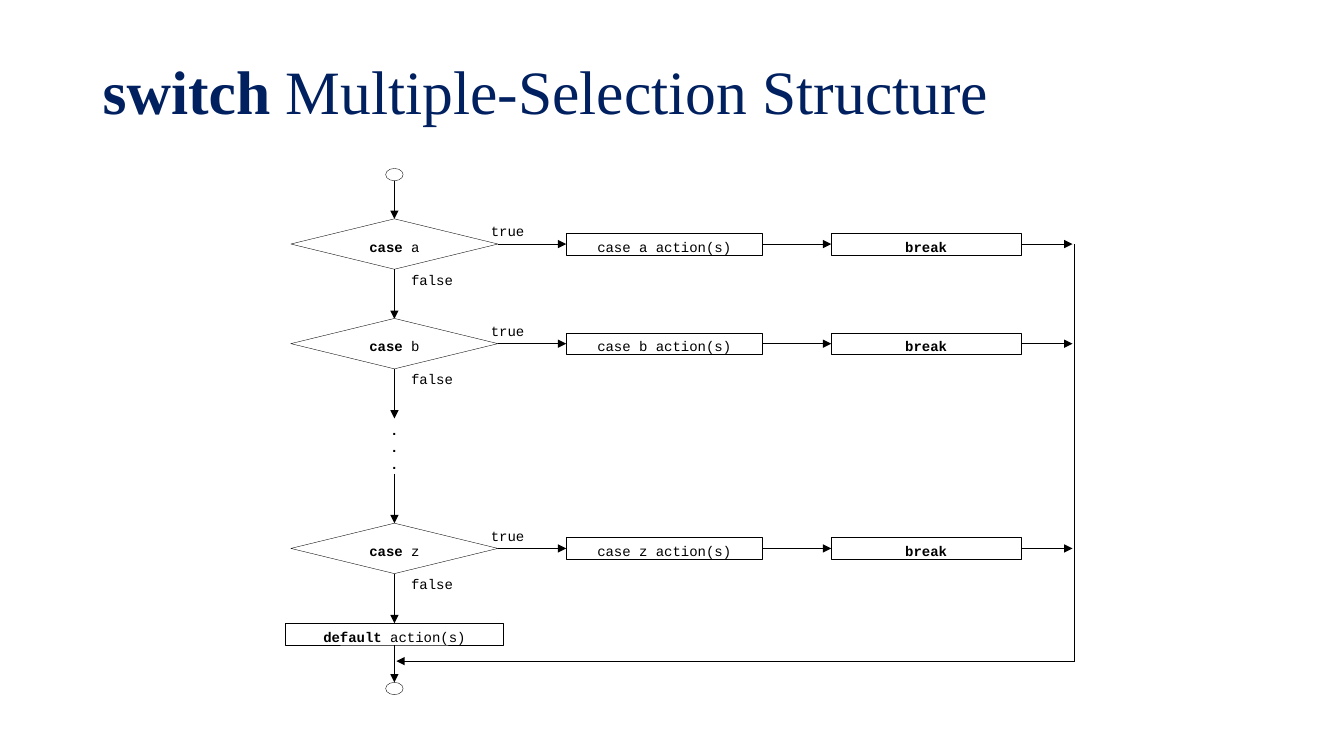
from lxml import etree
from pptx import Presentation
from pptx.dml.color import RGBColor
from pptx.enum.shapes import MSO_CONNECTOR, MSO_SHAPE
from pptx.enum.text import MSO_ANCHOR, PP_ALIGN
from pptx.oxml.ns import qn
from pptx.util import Cm, Pt

NAVY = RGBColor(0x00, 0x20, 0x60)
BLACK = RGBColor(0x00, 0x00, 0x00)
WHITE = RGBColor(0xFF, 0xFF, 0xFF)
RECT, DIAMOND, OVAL = MSO_SHAPE.RECTANGLE, MSO_SHAPE.DIAMOND, MSO_SHAPE.OVAL
STRAIGHT = MSO_CONNECTOR.STRAIGHT
LEFT, CENTER = PP_ALIGN.LEFT, PP_ALIGN.CENTER
TOP, MIDDLE = MSO_ANCHOR.TOP, MSO_ANCHOR.MIDDLE


class FlowChart:
    """Style and drawing methods for one slide; lengths in centimetres."""
    code_font, code_size = "Courier New", 10
    title_font, title_size = "Times New Roman", 44
    line_width = Pt(0.25)

    def __init__(self, s):
        self.s = s

    def add_runs(self, p, runs, font, size, color, align):
        """Fill a paragraph with (text, bold) runs."""
        for text, bold in runs:
            r = p.add_run()
            r.text = text
            r.font.bold = bold
        p.alignment = align
        p.font.name, p.font.size = font, Pt(size)
        p.font.color.rgb = color

    def title(self, x, y, w, h, *runs):
        tf = self.s.shapes.add_textbox(Cm(x), Cm(y), Cm(w), Cm(h)).text_frame
        tf.word_wrap, tf.vertical_anchor = True, MIDDLE
        p = tf.paragraphs[0]
        self.add_runs(p, runs, self.title_font, self.title_size, NAVY, LEFT)
        p.line_spacing = 0.9

    def code(self, tf, lines, align, anchor, inset_top=0):
        """Set lines of code type in a text frame."""
        tf.word_wrap, tf.vertical_anchor = True, anchor
        tf.margin_left = tf.margin_right = tf.margin_bottom = 0
        tf.margin_top = Cm(inset_top)
        for i, runs in enumerate(lines):
            p = tf.add_paragraph() if i else tf.paragraphs[0]
            self.add_runs(p, runs, self.code_font, self.code_size, BLACK, align)

    def label(self, x, y, w, h, *lines, align=LEFT):
        box = self.s.shapes.add_textbox(Cm(x), Cm(y), Cm(w), Cm(h))
        self.code(box.text_frame, lines, align, TOP)

    def node(self, kind, x, y, w, h, *runs, fill=None):
        """Outlined shape centred on height y, with its left edge at x."""
        sp = self.s.shapes.add_shape(kind, Cm(x), Cm(y - h / 2), Cm(w), Cm(h))
        sp.shadow.inherit = False
        if fill is None:
            sp.fill.background()
        else:
            sp.fill.solid()
            sp.fill.fore_color.rgb = fill
        sp.line.color.rgb, sp.line.width = BLACK, self.line_width
        if runs:
            self.code(sp.text_frame, [runs], CENTER, MIDDLE, inset_top=0.12)

    def line(self, x1, y1, x2, y2, arrow=True):
        c = self.s.shapes.add_connector(STRAIGHT, Cm(x1), Cm(y1), Cm(x2), Cm(y2))
        c.line.color.rgb, c.line.width = BLACK, self.line_width
        props = c._element.spPr
        if arrow:
            etree.SubElement(props.find(qn("a:ln")), qn("a:tailEnd"), type="triangle")
        etree.SubElement(props, qn("a:effectLst"))


# Columns
FLOW_X = 9.94
DIAMOND_W, DIAMOND_H = 5.22, 1.27
DIAMOND_RIGHT = FLOW_X + DIAMOND_W / 2
ACTION_X, ACTION_W = 14.27, 4.94
BREAK_X, BREAK_W = 20.95, 4.78
RAIL_X = 27.08
BOX_H = 0.55
DEFAULT_W = 5.51
CIRCLE_W, CIRCLE_H = 0.44, 0.31

# Rows
CASES = {"a": 6.15, "b": 8.66, "z": 13.82}
STEP = 1.25
START_Y, DEFAULT_Y, JOIN_Y, END_Y = 4.4, 15.98, 16.66, 17.35


def main():
    prs = Presentation()
    prs.slide_width, prs.slide_height = Cm(33.87), Cm(19.05)
    chart = FlowChart(prs.slides.add_slide(prs.slide_layouts[6]))

    chart.title(2.34, 1.02, 29.21, 2.74,
                ("switch", True), (" Multiple-Selection Structure", False))

    # Start and end
    for y in (START_Y, END_Y):
        chart.node(OVAL, FLOW_X - CIRCLE_W / 2, y, CIRCLE_W, CIRCLE_H)
    chart.line(FLOW_X, START_Y + CIRCLE_H / 2, FLOW_X, CASES["a"] - DIAMOND_H / 2)

    # One row per case
    for case, y in CASES.items():
        bottom = y + DIAMOND_H / 2
        chart.node(DIAMOND, FLOW_X - DIAMOND_W / 2, y, DIAMOND_W, DIAMOND_H,
                   ("case", True), (f" {case}", False), fill=WHITE)
        chart.node(RECT, ACTION_X, y, ACTION_W, BOX_H, (f"case {case} action(s)", False))
        chart.node(RECT, BREAK_X, y, BREAK_W, BOX_H, ("break", True))
        chart.line(DIAMOND_RIGHT, y, ACTION_X, y)
        chart.line(ACTION_X + ACTION_W, y, BREAK_X, y)
        chart.line(BREAK_X + BREAK_W, y, RAIL_X - 0.05, y)
        chart.line(FLOW_X, bottom, FLOW_X, bottom + STEP)
        chart.label(12.37, y - 0.53, 1.55, 0.61, [("true", False)])
        chart.label(10.36, y + 0.68, 1.88, 0.61, [("false", False)])

    # Cases left out
    chart.label(FLOW_X - 0.22, 10.62, 0.44, 1.52, *[[(".", True)]] * 3, align=CENTER)
    z_top = CASES["z"] - DIAMOND_H / 2
    chart.line(FLOW_X, z_top - STEP, FLOW_X, z_top)

    # Default action
    chart.node(RECT, FLOW_X - DEFAULT_W / 2, DEFAULT_Y, DEFAULT_W, BOX_H,
               ("default", True), (" action(s)", False))
    chart.line(FLOW_X, DEFAULT_Y + BOX_H / 2, FLOW_X, END_Y - CIRCLE_H / 2)

    # Return path of the breaks
    chart.line(RAIL_X, CASES["a"], RAIL_X, JOIN_Y, arrow=False)
    chart.line(RAIL_X, JOIN_Y, FLOW_X + 0.05, JOIN_Y)

    prs.save("out.pptx")


if __name__ == "__main__":
    main()
